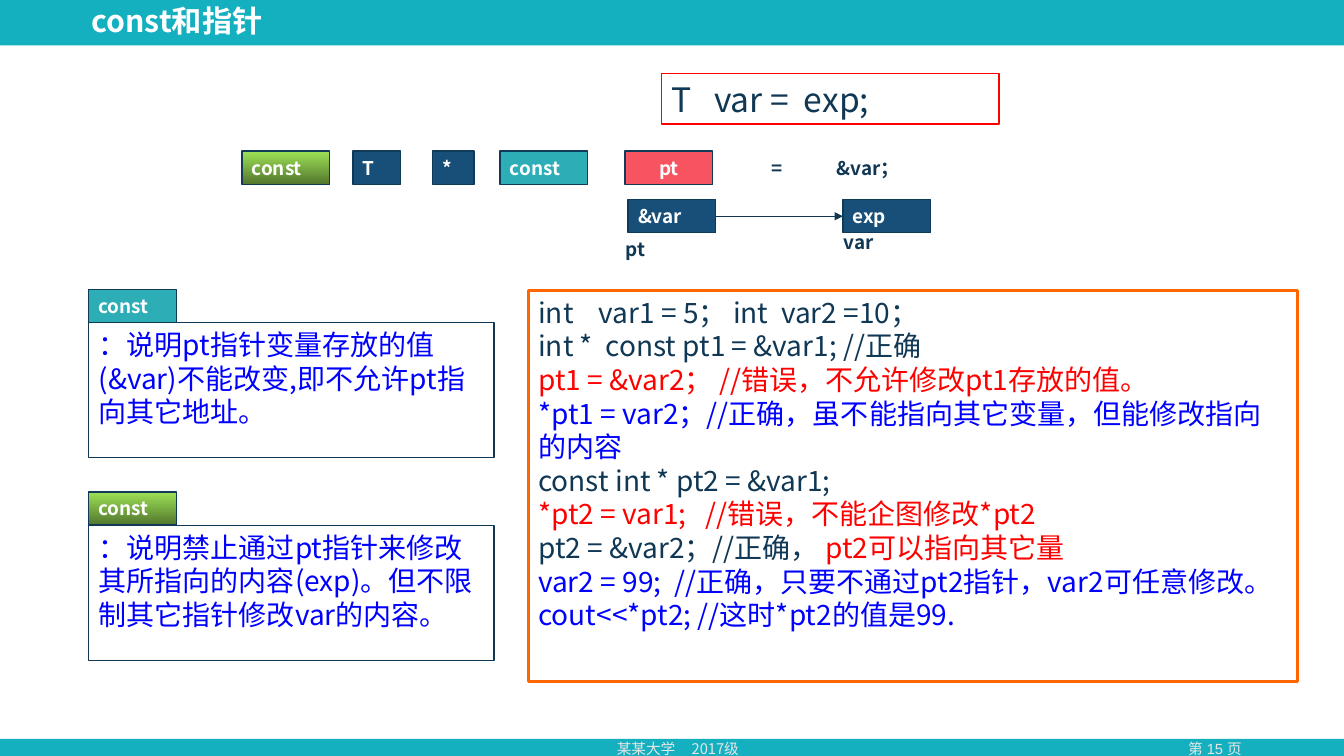
from dataclasses import dataclass

from lxml import etree
from pptx import Presentation
from pptx.dml.color import RGBColor
from pptx.enum.shapes import MSO_CONNECTOR, MSO_SHAPE
from pptx.enum.text import MSO_ANCHOR, PP_ALIGN
from pptx.oxml.ns import qn
from pptx.util import Inches, Pt

RECT = MSO_SHAPE.RECTANGLE
STRAIGHT = MSO_CONNECTOR.STRAIGHT
LEFT, CENTER = PP_ALIGN.LEFT, PP_ALIGN.CENTER
TOP, MIDDLE = MSO_ANCHOR.TOP, MSO_ANCHOR.MIDDLE


@dataclass(frozen=True)
class Theme:
    """Colours, fonts and type sizes of the slide."""
    font: str = "Noto Sans CJK SC"
    number_font: str = "Arial"
    bar: str = "14B0C0"
    white: str = "FFFFFF"
    footer: str = "E7E6E6"
    ink: str = "103754"
    border: str = "113A59"
    navy: str = "174F78"
    teal: str = "2DAEB7"
    coral: str = "F85360"
    green: tuple = ("9EE256", "52762D")
    red: str = "FF0000"
    blue: str = "0000FF"
    orange: str = "FF6600"
    title_size: float = 21.6
    formula_size: float = 24
    body_size: float = 20
    label_size: float = 13.5
    footer_size: float = 10.5
    leading: float = 1.2


THEME = Theme()
TAG_W, TAG_H = 0.87, 0.33


def rgb(value):
    """Turn a hex string into a colour."""
    return RGBColor.from_string(value)


def write(sp, paragraphs, size, bold=False, align=LEFT, anchor=TOP, font=THEME.font, leading=THEME.leading):
    """Fill a shape with paragraphs of (text, colour) runs."""
    tf = sp.text_frame
    tf.word_wrap = True
    tf.vertical_anchor = anchor
    for i, runs in enumerate(paragraphs):
        p = tf.paragraphs[0] if i == 0 else tf.add_paragraph()
        p.alignment = align
        p.line_spacing = Pt(round(size * leading, 1))
        for text, color in runs:
            for j, line in enumerate(text.split("\n")):
                if j:
                    p.add_line_break()
                if line:
                    r = p.add_run()
                    r.text = line
                    r.font.name = font
                    r.font.size = Pt(size)
                    r.font.bold = bold
                    r.font.color.rgb = rgb(color)
                    ea = etree.SubElement(r.font._element, qn("a:ea"))
                    ea.set("typeface", font)


def add_text(slide, box, text, size, color, **style):
    """Add a text box holding one run."""
    sp = slide.shapes.add_textbox(*map(Inches, box))
    write(sp, [[(text, color)]], size, **style)


def add_rect(slide, box, fill=None, line=None, width=1):
    """Add a rectangle with a plain, gradient or empty fill."""
    sp = slide.shapes.add_shape(RECT, *map(Inches, box))
    sp.shadow.inherit = False
    if fill is None:
        sp.fill.background()
    elif isinstance(fill, tuple):
        sp.fill.gradient()
        sp.fill.gradient_angle = 270
        for stop, position, color in zip(sp.fill.gradient_stops, (0, 1), fill):
            stop.position = position
            stop.color.rgb = rgb(color)
    else:
        sp.fill.solid()
        sp.fill.fore_color.rgb = rgb(fill)
    if line:
        sp.line.color.rgb = rgb(line)
        sp.line.width = Pt(width)
    else:
        sp.line.fill.background()
    return sp


def add_tag(slide, x, y, text, fill, width=TAG_W, align=LEFT):
    """Add a small filled label."""
    sp = add_rect(slide, (x, y, width, TAG_H), fill, THEME.border)
    write(sp, [[(text, THEME.white)]], THEME.label_size, bold=True, align=align)
    return sp


def add_arrow(slide, start, end):
    """Join the right side of one box to the left side of another."""
    cx = slide.shapes.add_connector(STRAIGHT, 0, 0, 0, 0)
    cx.begin_connect(start, 3)
    cx.end_connect(end, 1)
    cx.line.color.rgb = rgb(THEME.ink)
    cx.line.width = Pt(1)
    etree.SubElement(cx.line._get_or_add_ln(), qn("a:tailEnd")).set("type", "triangle")
    etree.SubElement(cx._element.spPr, qn("a:effectLst"))


def add_frame(slide, width, height):
    """Draw the title bar and the footer bar."""
    add_rect(slide, (0, 0, width, 0.45), THEME.bar)
    add_rect(slide, (0, 7.33, width, height - 7.33), THEME.bar)
    add_text(slide, (0.81, 0, 9.5, 0.44), "const和指针", THEME.title_size, THEME.white,
             bold=True, anchor=MIDDLE, leading=1.1)
    add_text(slide, (6.02, 7.29, 1.84, 0.28), "某某大学     2017级", THEME.footer_size, THEME.footer)
    add_text(slide, (11.32, 7.29, 1.46, 0.28), "第 15 页", THEME.footer_size, THEME.footer,
             align=CENTER, font=THEME.number_font)


def add_declaration(slide, x, y):
    """Draw the pointer declaration as a row of labels."""
    for dx, text, fill, width, align in (
        (0, "const", THEME.green, TAG_W, LEFT),
        (1.1, "T", THEME.navy, 0.47, LEFT),
        (1.89, "*", THEME.navy, 0.41, LEFT),
        (2.56, "const", THEME.teal, TAG_W, LEFT),
        (3.8, "pt", THEME.coral, TAG_W, CENTER),
    ):
        add_tag(slide, x + dx, y, text, fill, width, align)
    for dx, text, width in ((5.11, " =", 0.56), (5.76, " &var；", 1.49)):
        add_text(slide, (x + dx, y, width, TAG_H), text, THEME.label_size, THEME.ink, bold=True)


def add_memory(slide, x, y):
    """Draw the pointer cell pointing at the variable cell."""
    pointer = add_tag(slide, x, y, "&var", THEME.navy)
    variable = add_tag(slide, x + 2.13, y, "exp", THEME.navy)
    add_arrow(slide, pointer, variable)
    for dx, dy, name in ((-0.12, 0.33, "pt"), (2.04, 0.26, "var")):
        add_text(slide, (x + dx, y + dy, 0.79, TAG_H), name, THEME.label_size, THEME.ink, bold=True)


def add_note(slide, x, y, fill, text):
    """Draw an explanation under its const label."""
    add_tag(slide, x, y, "const", fill)
    sp = add_rect(slide, (x, y + TAG_H, 4.02, 1.34), None, THEME.ink, 0.75)
    write(sp, [[(text, THEME.blue)]], THEME.body_size)


def add_code(slide, box):
    """Draw the framed code sample."""
    sp = add_rect(slide, box, None, THEME.orange, 2.25)
    write(sp, [
        [("int    var1 = 5； int  var2 =10；\nint *  const pt1 = &var1; //正确\n", THEME.ink),
         ("pt1 = &var2； //错误，不允许修改pt1存放的值。\n", THEME.red),
         ("*pt1 = var2；//正确，虽不能指向其它变量，但能修改指向的内容\n", THEME.blue),
         ("const int * pt2 = &var1;\n", THEME.ink),
         ("*pt2 = var1;   //错误，不能企图修改*pt2\n", THEME.red),
         ("pt2 = &var2；//正确，", THEME.ink),
         (" pt2可以指向其它量", THEME.red)],
        [("var2 = 99;  //正确，只要不通过pt2指针，var2可任意修改。\n"
          "cout<<*pt2; //这时*pt2的值是99.", THEME.blue)],
    ], THEME.body_size)


def main():
    """Build the slide and save it."""
    prs = Presentation()
    prs.slide_width, prs.slide_height = Inches(13.33), Inches(7.5)
    slide = prs.slides.add_slide(prs.slide_layouts[6])
    add_frame(slide, 13.33, 7.5)
    formula = add_rect(slide, (6.56, 0.73, 3.35, 0.5), None, THEME.red)
    write(formula, [[("T   var =  exp;", THEME.ink)]], THEME.formula_size)
    add_declaration(slide, 2.4, 1.5)
    add_memory(slide, 6.23, 1.98)
    add_note(slide, 0.88, 2.87, THEME.teal, "：说明pt指针变量存放的值(&var)不能改变,即不允许pt指向其它地址。")
    add_note(slide, 0.88, 4.88, THEME.green, "：说明禁止通过pt指针来修改其所指向的内容(exp)。但不限制其它指针修改var的内容。")
    add_code(slide, (5.24, 2.88, 7.63, 3.88))
    prs.save("out.pptx")


if __name__ == "__main__":
    main()
